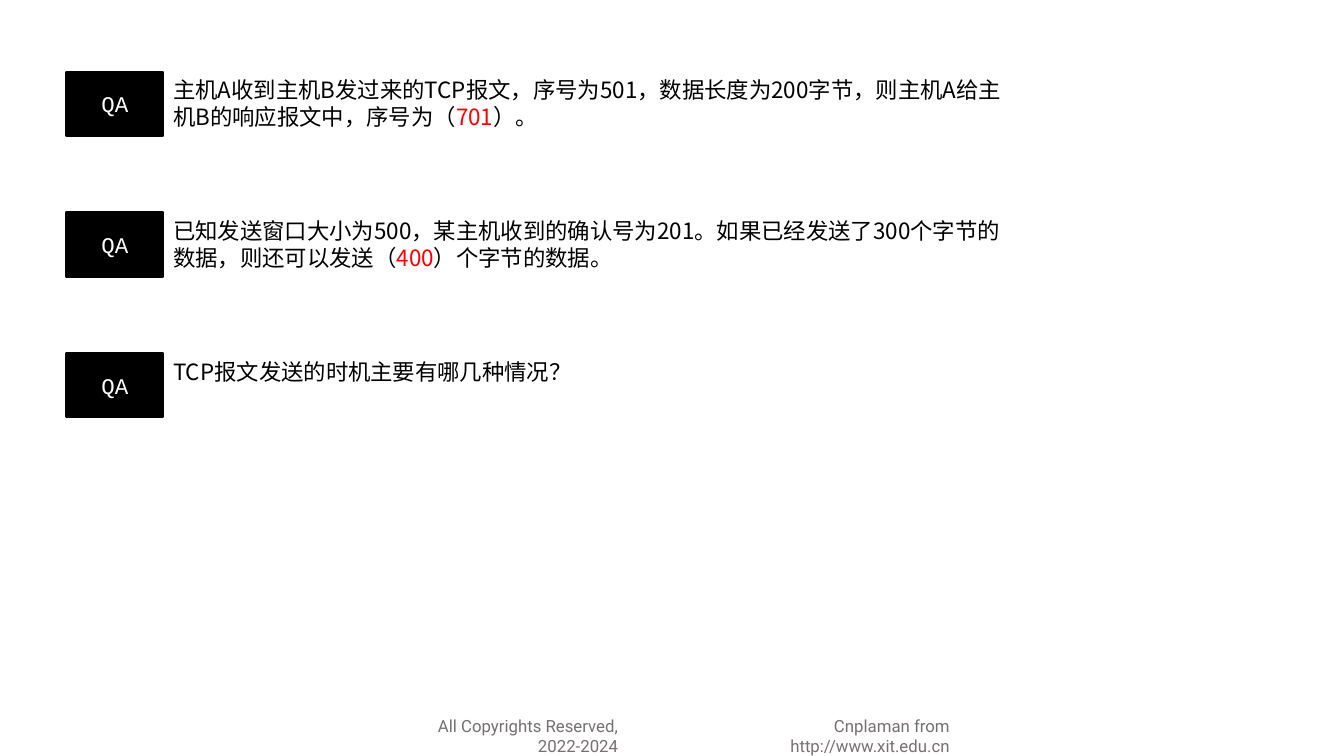
from dataclasses import dataclass

import lxml.etree
import pptx
import pptx.dml.color
import pptx.enum.shapes
import pptx.enum.text
import pptx.oxml.ns
import pptx.util

RGBColor = pptx.dml.color.RGBColor
BLACK = RGBColor(0x00, 0x00, 0x00)
WHITE = RGBColor(0xFF, 0xFF, 0xFF)
RED = RGBColor(0xFF, 0x00, 0x00)
GRAY = RGBColor(0x76, 0x71, 0x71)
ALIGN = pptx.enum.text.PP_ALIGN

WIDTH = pptx.util.Inches(13.33)
HEIGHT = pptx.util.Inches(7.5)
COL = WIDTH / 100
ROW = HEIGHT / 100

TOP, PITCH, TALL = 9.47, 18.6, 8.53
TAG_LEFT, TAG_WIDE = 4.95, 7.2
ASK_LEFT, ASK_WIDE = TAG_LEFT + TAG_WIDE, 64.52
FOOT_TOP, FOOT_TALL = 94, 4


@dataclass
class Quiz:
    lead: str
    answer: str = ""
    tail: str = ""


@dataclass
class Footer:
    text: str
    left: float
    wide: float


QUIZZES = [
    Quiz("主机A收到主机B发过来的TCP报文，序号为501，数据长度为200字节，则主机A给主机B的响应报文中，序号为（",
         "701", "）。"),
    Quiz("已知发送窗口大小为500，某主机收到的确认号为201。如果已经发送了300个字节的数据，则还可以发送（",
         "400", "）个字节的数据。"),
    Quiz("TCP报文发送的时机主要有哪几种情况？"),
]

FOOTERS = [
    Footer("Cnplaman from http://www.xit.edu.cn", 52.06, 19.35),
    Footer("All Copyrights Reserved, 2022-2024", 28.58, 18.15),
]


def place(left: float, top: float, wide: float, tall: float) -> list[int]:
    return [round(left * COL), round(top * ROW), round(wide * COL), round(tall * ROW)]


def style(run, size: int, face: str, color: RGBColor) -> None:
    run.font.size = pptx.util.Pt(size)
    run.font.name = face
    run.font.color.rgb = color
    east = lxml.etree.SubElement(run.font._element, pptx.oxml.ns.qn("a:ea"))
    east.set("typeface", face)


def add_box(slide, left: float, top: float, wide: float, tall: float):
    box = slide.shapes.add_textbox(*place(left, top, wide, tall))
    box.text_frame.word_wrap = True
    return box.text_frame.paragraphs[0]


def add_tag(slide, top: float) -> None:
    tag = slide.shapes.add_shape(
        pptx.enum.shapes.MSO_SHAPE.RECTANGLE, *place(TAG_LEFT, top, TAG_WIDE, TALL))
    tag.shadow.inherit = False
    tag.fill.solid()
    tag.fill.fore_color.rgb = BLACK
    tag.line.color.rgb = BLACK
    tag.line.width = pptx.util.Pt(1.5)
    frame = tag.text_frame
    frame.text = "QA"
    frame.vertical_anchor = pptx.enum.text.MSO_ANCHOR.MIDDLE
    para = frame.paragraphs[0]
    para.alignment = ALIGN.CENTER
    style(para.runs[0], 16, "Courier New", WHITE)


def add_quiz(slide, quiz: Quiz, top: float) -> None:
    para = add_box(slide, ASK_LEFT, top, ASK_WIDE, TALL)
    for text, color in ((quiz.lead, BLACK), (quiz.answer, RED), (quiz.tail, BLACK)):
        if text:
            run = para.add_run()
            run.text = text
            style(run, 16, "Noto Sans CJK SC", color)
    add_tag(slide, top)


def add_footer(slide, foot: Footer) -> None:
    para = add_box(slide, foot.left, FOOT_TOP, foot.wide, FOOT_TALL)
    para.text = foot.text
    para.alignment = ALIGN.RIGHT
    style(para.runs[0], 12, "Roboto", GRAY)


def main() -> None:
    deck = pptx.Presentation()
    deck.slide_width, deck.slide_height = WIDTH, HEIGHT
    slide = deck.slides.add_slide(deck.slide_layouts[6])
    for foot in FOOTERS:
        add_footer(slide, foot)
    for index, quiz in enumerate(QUIZZES):
        add_quiz(slide, quiz, TOP + index * PITCH)
    deck.save("out.pptx")


if __name__ == "__main__":
    main()
